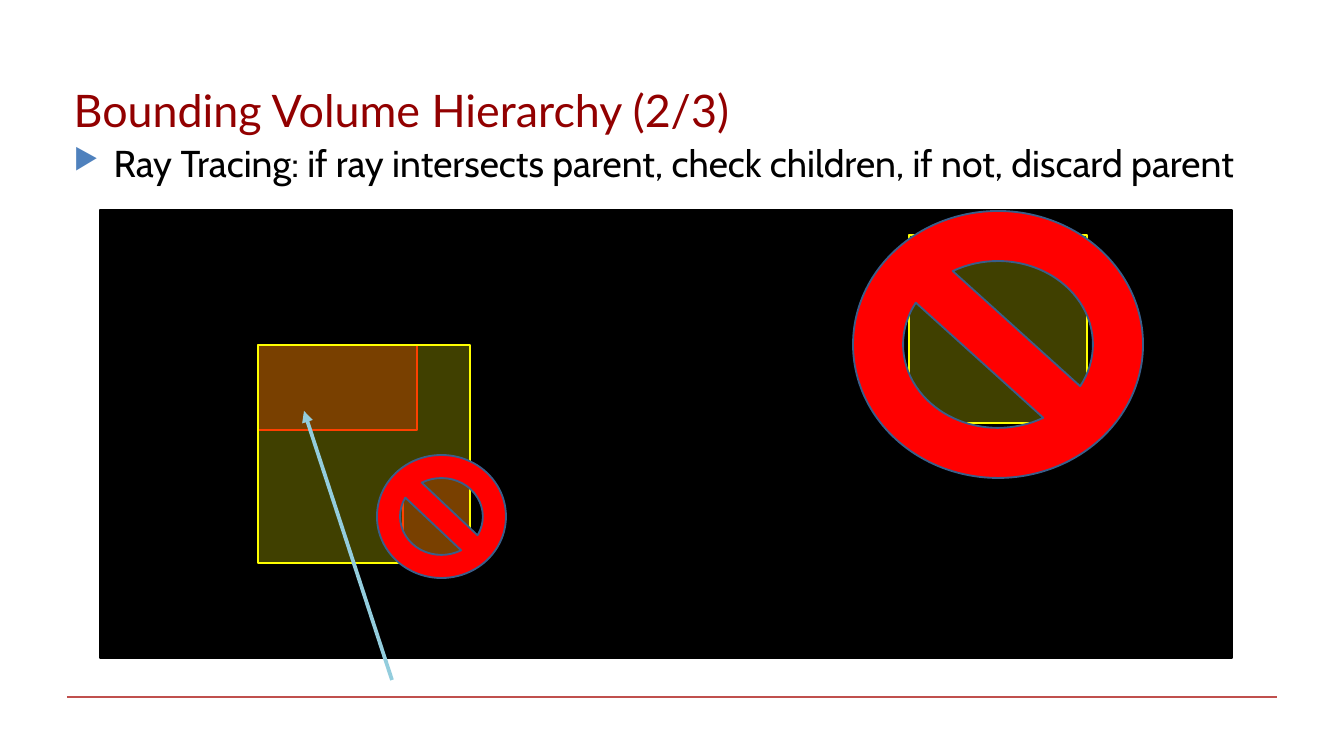
from lxml import etree
from pptx import Presentation
from pptx.dml.color import RGBColor
from pptx.enum.shapes import MSO_CONNECTOR, MSO_SHAPE
from pptx.enum.text import MSO_ANCHOR
from pptx.oxml.ns import qn
from pptx.util import Pt

RECT, NO_SIGN = MSO_SHAPE.RECTANGLE, MSO_SHAPE.NO_SYMBOL
STRAIGHT = MSO_CONNECTOR.STRAIGHT
TOP, MIDDLE = MSO_ANCHOR.TOP, MSO_ANCHOR.MIDDLE

BLACK = RGBColor(0x00, 0x00, 0x00)
RED = RGBColor(0xFF, 0x00, 0x00)
YELLOW = RGBColor(0xFF, 0xFF, 0x00)
MAROON = RGBColor(0x92, 0x00, 0x00)
RULE_RED = RGBColor(0xC0, 0x50, 0x4D)
SIGN_EDGE = RGBColor(0x3A, 0x5E, 0x8A)
RAY_BLUE = RGBColor(0x93, 0xCD, 0xDD)
BULLET_BLUE = "4F81BD"

# Content: boxes are left, top, width, height in px
TITLE = "Bounding Volume Hierarchy (2/3)"
BODY = "Ray Tracing: if ray intersects parent, check children, if not, discard parent"
SCENE = (100, 210, 1132, 448)
VOLUMES = [  # box, colour, opacity in percent
    ((403, 469, 67, 94), RED, 30),
    ((258, 345, 159, 85), RED, 30),
    ((258, 345, 212, 218), YELLOW, 25),
    ((909, 235, 178, 188), YELLOW, 25),
]
RAY = (392, 680, 304, 411)
RULE = (67, 697, 1277, 697)
DISCARDED = [(853, 211, 290, 267), (377, 455, 129, 123)]

EMU_PER_PX = 914400 / 134.4


def px(*values):
    return [round(v * EMU_PER_PX) for v in values]


def add_shape(kind, box, fill, line, width, opacity=100):
    s = slide.shapes.add_shape(kind, *px(*box))
    s.shadow.inherit = False
    s.fill.solid()
    s.fill.fore_color.rgb = fill
    if opacity < 100:
        color = s.fill._xPr.find(qn("a:solidFill"))[0]
        etree.SubElement(color, qn("a:alpha"), val=str(opacity * 1000))
    s.line.color.rgb = line
    s.line.width = Pt(width)


def add_line(ends, color, width, arrow=False):
    c = slide.shapes.add_connector(STRAIGHT, *px(*ends))
    c.line.color.rgb = color
    c.line.width = Pt(width)
    if arrow:
        etree.SubElement(c.line._get_or_add_ln(), qn("a:tailEnd"), type="triangle")
    etree.SubElement(c._element.spPr, qn("a:effectLst"))


def add_text(box, text, font, size, color, anchor, bullet=None):
    tf = slide.shapes.add_textbox(*px(*box)).text_frame
    tf.word_wrap = True
    tf.vertical_anchor = anchor
    tf.margin_left = tf.margin_right = tf.margin_top = tf.margin_bottom = Pt(3.6)
    tf.text = text
    p = tf.paragraphs[0]
    if bullet:
        pPr = p._p.get_or_add_pPr()
        indent = px(40)[0]
        pPr.set("marL", str(indent))
        pPr.set("indent", str(-indent))
        bu_color = etree.SubElement(pPr, qn("a:buClr"))
        etree.SubElement(bu_color, qn("a:srgbClr"), val=BULLET_BLUE)
        etree.SubElement(pPr, qn("a:buSzPct"), val="76000")
        etree.SubElement(pPr, qn("a:buChar"), char=bullet)
    f = p.runs[0].font
    f.name, f.size = font, Pt(size)
    f.color.rgb = color


prs = Presentation()
prs.slide_width, prs.slide_height = px(1344, 756)
slide = prs.slides.add_slide(prs.slide_layouts[6])

# Footer rule and dark scene
add_line(RULE, RULE_RED, 0.75)
add_shape(RECT, SCENE, BLACK, BLACK, 1.5)

# Bullet and title
add_text((67, 134, 1210, 530), BODY, "Cabin", 20, BLACK, TOP, bullet="▶")
add_text((67, 76, 1210, 67), TITLE, "Lato", 24, MAROON, MIDDLE)

# Bounding volumes
for box, color, opacity in VOLUMES:
    add_shape(RECT, box, color, color, 0.75, opacity)

# Ray, then signs over the discarded volumes
add_line(RAY, RAY_BLUE, 2, arrow=True)
for box in DISCARDED:
    add_shape(NO_SIGN, box, RED, SIGN_EDGE, 1)

prs.save("out.pptx")
